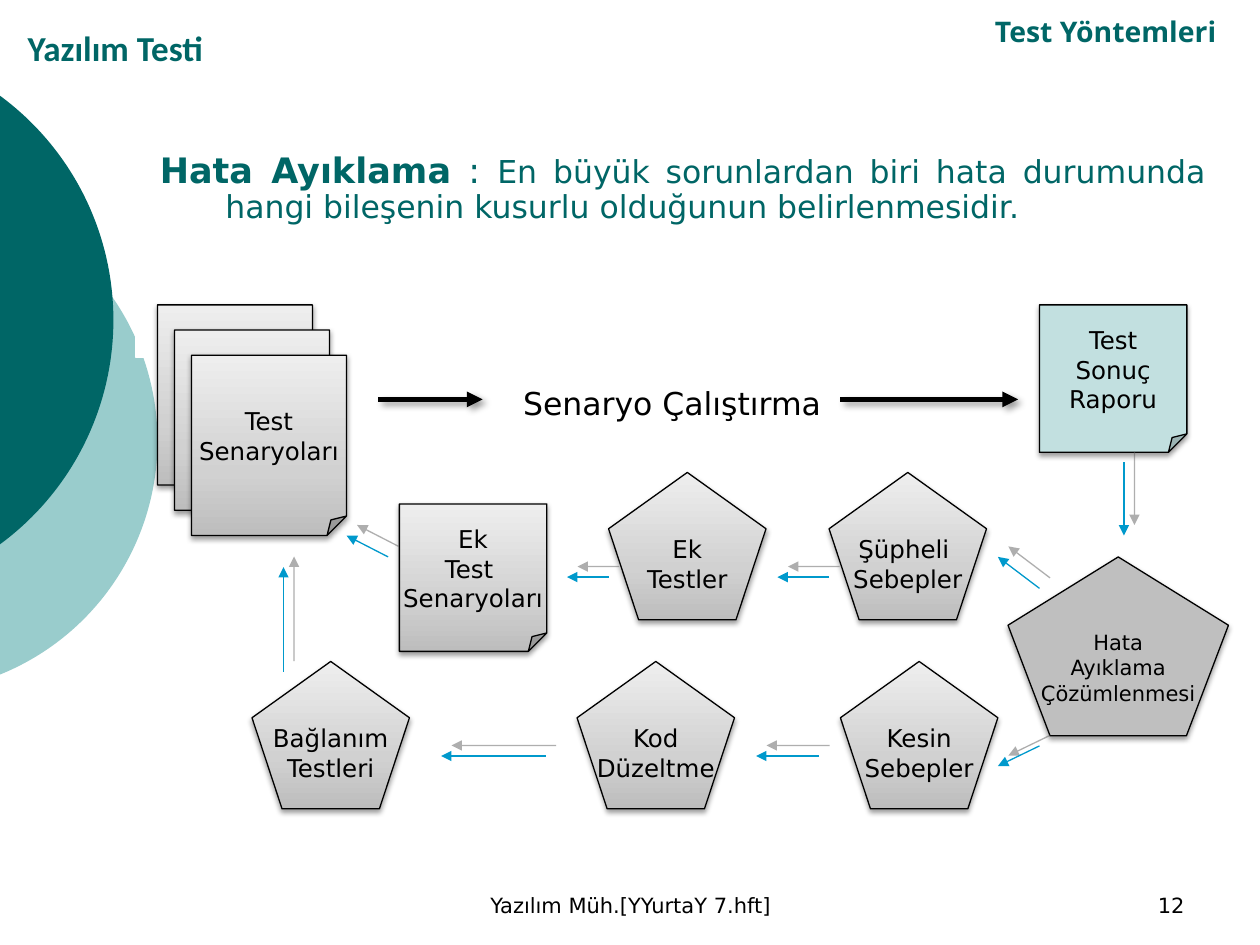
from copy import deepcopy

from lxml import etree
from pptx import Presentation
from pptx import util as u
from pptx.dml.color import RGBColor
from pptx.enum import shapes, text
from pptx.oxml import ns

COLORS = {
    "teal": "006666", "pale_teal": "99CCCC", "report": "C2E0E0",
    "black": "000000", "white": "FFFFFF", "grey": "BFBFBF",
    "blue": "0099CC", "arrow_shadow": "5F5F5F",
    "grad_dark": "BDBDBD", "grad_mid": "D1D1D1", "grad_light": "EEEEEE",
}
GRADIENT = [(0, "grad_dark"), (0.35, "grad_mid"), (1, "grad_light")]
BODY_FONT = "DejaVu Sans"
NOTE = shapes.MSO_SHAPE.FOLDED_CORNER
PENTAGON = shapes.MSO_SHAPE.REGULAR_PENTAGON
OVAL = shapes.MSO_SHAPE.OVAL
LEFT, CENTER = text.PP_ALIGN.LEFT, text.PP_ALIGN.CENTER
RIGHT, JUSTIFY = text.PP_ALIGN.RIGHT, text.PP_ALIGN.JUSTIFY
TOP, BOTTOM = text.MSO_ANCHOR.TOP, text.MSO_ANCHOR.BOTTOM

# Shadows: colour, opacity %, blur pt, distance pt, direction in degrees
NODE_SHADOW = ("black", 38, 3.1, 1.6, 90)
BOLD_ARROW_SHADOW = ("black", 40, 4, 3, 45)
THIN_ARROW_SHADOW = ("arrow_shadow", 50, 0, 8.5, 315)

# Nodes: preset, left, top, width, height, fill (None = gradient), size, lines
NODES = [
    (NOTE, 8.25, 2.42, 1.17, 1.17, "report", 14, ["Test", "Sonuç", "Raporu"]),
    (NOTE, 3.17, 4, 1.17, 1.17, None, 14, ["Ek", "Test ", "Senaryoları"]),
    (PENTAGON, 2, 5.25, 1.25, 1.17, None, 14, ["Bağlanım", "Testleri"]),
    (PENTAGON, 4.58, 5.25, 1.25, 1.17, None, 14, ["Kod", "Düzeltme"]),
    (PENTAGON, 6.67, 5.25, 1.25, 1.17, None, 14, ["Kesin", "Sebepler"]),
    (PENTAGON, 4.83, 3.75, 1.25, 1.17, None, 14, ["Ek", "Testler"]),
    (PENTAGON, 6.58, 3.75, 1.25, 1.17, None, 14, ["Şüpheli ", "Sebepler"]),
    (PENTAGON, 8, 4.42, 1.75, 1.42, "grey", 12,
     ["Hata", "Ayıklama", "Çözümlenmesi"]),
]
BOLD_ARROWS = [(3, 3.17, 3.83, 3.17), (6.67, 3.17, 8.08, 3.17)]
THIN_ARROWS = [
    (8.92, 3.67, 8.92, 4.25), (8.25, 4.67, 7.92, 4.42),
    (6.58, 4.58, 6.17, 4.58), (4.83, 4.58, 4.5, 4.58),
    (8.25, 5.92, 7.92, 6.08), (6.5, 6, 6, 6), (4.33, 6, 3.5, 6),
    (2.25, 5.33, 2.25, 4.5), (3.08, 4.42, 2.75, 4.25),
]


def rgb(name):
    return RGBColor.from_string(COLORS[name])


def add_child(parent, tag, **attributes):
    child = etree.SubElement(parent, ns.qn(tag))
    for key, value in attributes.items():
        child.set(key, str(value))
    return child


def add_shadow(effects, shadow):
    color, opacity, blur, distance, direction = shadow
    outer = add_child(effects, "a:outerShdw", blurRad=u.Pt(blur),
                      dist=u.Pt(distance), dir=direction * 60000,
                      algn="ctr", rotWithShape=0)
    tint = add_child(outer, "a:srgbClr", val=COLORS[color])
    add_child(tint, "a:alpha", val=opacity * 1000)


def set_font(font, size, color="black", name=BODY_FONT, bold=False):
    font.size, font.name, font.bold = u.Pt(size), name, bold
    font.color.rgb = rgb(color)


def add_plain(page, preset, left, top, width, height, fill):
    shape = page.shapes.add_shape(preset, u.Inches(left), u.Inches(top),
                                  u.Inches(width), u.Inches(height))
    shape.shadow.inherit = False
    shape.line.fill.background()
    if fill:
        shape.fill.solid()
        shape.fill.fore_color.rgb = rgb(fill)
    return shape


def fill_gradient(shape):
    shape.fill.gradient()
    shape.fill.gradient_angle = 90
    stops = shape.element.spPr.find(".//" + ns.qn("a:gsLst"))
    stops.append(deepcopy(stops[0]))
    for stop, (position, color) in zip(shape.fill.gradient_stops, GRADIENT):
        stop.position = position
        stop.color.rgb = rgb(color)


def add_node(page, preset, left, top, width, height, fill=None, size=14, lines=()):
    node = add_plain(page, preset, left, top, width, height, fill)
    properties = node.element.spPr
    if not fill:
        fill_gradient(node)
    if preset == NOTE:
        guides = properties.find(".//" + ns.qn("a:avLst"))
        add_child(guides, "a:gd", name="adj", fmla="val 12500")
    node.line.color.rgb = rgb("black")
    node.line.width = u.Pt(0.75)
    add_shadow(properties.find(ns.qn("a:effectLst")), NODE_SHADOW)
    frame = node.text_frame
    frame.word_wrap = False
    frame.vertical_anchor = text.MSO_ANCHOR.MIDDLE
    for index, line in enumerate(lines):
        para = frame.paragraphs[0] if index == 0 else frame.add_paragraph()
        para.text = line
        para.alignment = CENTER
        set_font(para.font, size)


def add_text(page, left, top, width, height, words, size, align, anchor=TOP, **font):
    box = page.shapes.add_textbox(u.Inches(left), u.Inches(top),
                                  u.Inches(width), u.Inches(height))
    box.text_frame.word_wrap = True
    box.text_frame.vertical_anchor = anchor
    para = box.text_frame.paragraphs[0]
    para.alignment = align
    if words:
        para.text = words
        set_font(para.font, size, **font)
    return para


def add_arrow(page, ends, color, width, shadow):
    arrow = page.shapes.add_connector(shapes.MSO_CONNECTOR.STRAIGHT,
                                      *[u.Inches(value) for value in ends])
    arrow.line.color.rgb = rgb(color)
    arrow.line.width = u.Pt(width)
    properties = arrow.element.spPr
    add_child(properties.find(ns.qn("a:ln")), "a:tailEnd", type="triangle")
    add_shadow(add_child(properties, "a:effectLst"), shadow)


def add_explanation(page):
    para = add_text(page, 1.17, 1.17, 8.5, 5.67, "", 18, JUSTIFY)
    para.line_spacing = 0.9
    indent = u.Inches(0.52)
    properties = para._p.get_or_add_pPr()
    properties.set("marL", str(indent))
    properties.set("indent", str(-indent))
    for words, size, bold in [
        ("Hata Ayıklama", 20, True),
        (" : ", 20, False),
        ("En büyük sorunlardan biri hata durumunda hangi bileşenin "
         "kusurlu olduğunun belirlenmesidir.", 18, False),
    ]:
        span = para.add_run()
        span.text = words
        set_font(span.font, size, "teal", bold=bold)


def main():
    deck = Presentation()
    deck.slide_width, deck.slide_height = u.Inches(10), u.Inches(7.5)
    page = deck.slides.add_slide(deck.slide_layouts[6])

    # Background circles
    add_plain(page, OVAL, -2.75, 1.5, 4, 4, "pale_teal")
    add_plain(page, OVAL, -3.52, 0.33, 4.42, 4.42, "teal")

    # Footer, headings and explanation
    add_text(page, 3.42, 6.83, 3.17, 0.5, "Yazılım Müh.[YYurtaY 7.hft]", 12,
             CENTER, BOTTOM)
    add_text(page, 7.17, 6.83, 2.33, 0.5, "12", 12, RIGHT, BOTTOM)
    add_explanation(page)
    add_text(page, 0.12, 0.17, 3.25, 0.42, "Yazılım Testi", 20, LEFT, BOTTOM,
             color="teal", name="Calibri", bold=True)
    topic = add_text(page, 3.17, 0, 6.58, 0.58, "Test Yöntemleri", 28, RIGHT,
                     BOTTOM, color="teal", name="Open Sans", bold=True)
    topic.runs[0]._r.get_or_add_rPr().set("baseline", "30000")

    # White band behind the diagram
    band = add_plain(page, shapes.MSO_SHAPE.RECTANGLE, 1.08, 2.67, 8.5, 0.17, "white")
    band.line.color.rgb = rgb("white")
    band.line.width = u.Pt(0.75)

    # Stack of test scenarios, then the other nodes
    for index, lines in enumerate([[], [], ["Test", "Senaryoları"]]):
        add_node(page, NOTE, 1.25 + 0.135 * index, 2.42 + 0.2 * index,
                 1.23, 1.43, lines=lines)
    for node in NODES:
        add_node(page, *node)
    add_text(page, 4, 3, 2.67, 0.4, "Senaryo Çalıştırma", 18, CENTER)

    # Flow arrows
    for ends in BOLD_ARROWS:
        add_arrow(page, ends, "black", 3, BOLD_ARROW_SHADOW)
    for ends in THIN_ARROWS:
        add_arrow(page, ends, "blue", 0.75, THIN_ARROW_SHADOW)

    deck.save("out.pptx")


if __name__ == "__main__":
    main()
